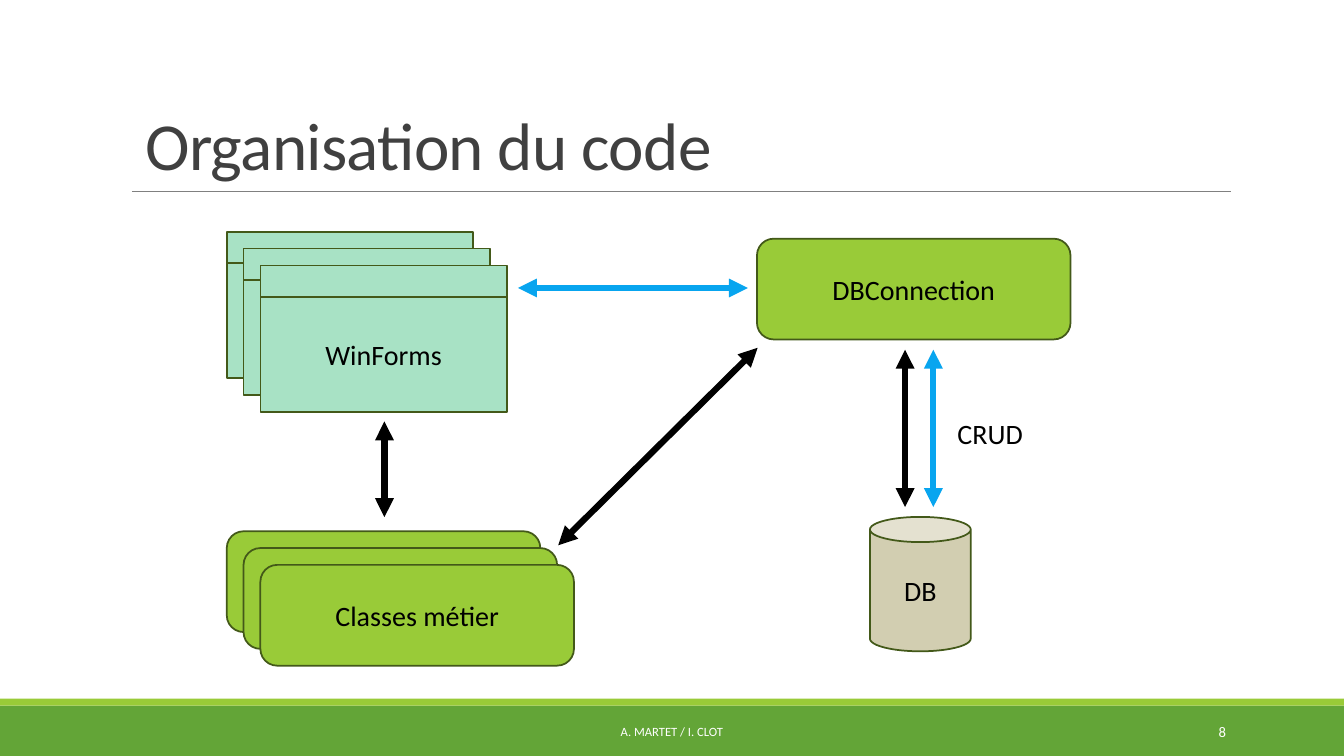
from lxml import etree
from pptx import Presentation, util as u
from pptx.dml.color import RGBColor
from pptx.enum import shapes, text
from pptx.oxml.ns import qn

Pt = u.Pt
KIND = shapes.MSO_SHAPE
ALIGN = text.PP_ALIGN
ANCHOR = text.MSO_ANCHOR

COLORS = {
    "footer": "63A537", "class": "99CB38", "form": "A8E2C5", "database": "D2CEB1",
    "outline": "435919", "rule": "808080", "title": "404040",
    "black": "000000", "blue": "08A5EF", "white": "FFFFFF",
}

# Content: lengths in points
TITLE = "Organisation du code"
FOOTER = "A. MARTET / I. CLOT"
PAGE_NUMBER = "8"
CRUD = "CRUD"
BANDS = [("footer", (0, 504, 960, 36)), ("class", (0, 499, 960, 5))]

STACK_LEFT, STACK_STEP = 162, 12
FORMS_TOP, FORM_WIDTH, FORM_BAR, FORM_BODY = 165.6, 176, 22.5, 82
CLASSES_TOP, CLASS_WIDTH, CLASS_HEIGHT = 379.5, 224, 72
FORM_LABELS = ["", "", "WinForms"]
CLASS_LABELS = ["", "", "Classes métier"]
CONNECTION = ("DBConnection", (540.7, 170.5, CLASS_WIDTH, CLASS_HEIGHT))
DATABASE = ("DB", (621.4, 369.2, 72, 96))

EXCHANGES = [  # color, start, end
    ("blue", (370, 205.7), (534.2, 205.7)),
    ("blue", (666.7, 362.2), (666.7, 249.8)),
    ("black", (646.5, 362.2), (646.5, 249.8)),
    ("black", (398.7, 389.5), (541.2, 248.4)),
    ("black", (274.6, 301), (274.6, 369.4)),
]

deck = Presentation()
deck.slide_width, deck.slide_height = Pt(960), Pt(540)
slide = deck.slides.add_slide(deck.slide_layouts[6])


def rgb(name):
    return RGBColor.from_string(COLORS[name])


def write(frame, words, size, color="black", align=ALIGN.CENTER, anchor=ANCHOR.MIDDLE):
    frame.word_wrap = True
    frame.vertical_anchor = anchor
    paragraph = frame.paragraphs[0]
    paragraph.text = words
    paragraph.alignment = align
    paragraph.font.name, paragraph.font.size = "Calibri", Pt(size)
    paragraph.font.color.rgb = rgb(color)
    return paragraph


def add_block(kind, box, fill, label="", outlined=True):
    block = slide.shapes.add_shape(kind, *map(Pt, box))
    block.shadow.inherit = False
    block.fill.solid()
    block.fill.fore_color.rgb = rgb(fill)
    if outlined:
        block.line.color.rgb = rgb("outline")
        block.line.width = Pt(1.25)
    else:
        block.line.fill.background()
    if label:
        write(block.text_frame, label, 20)


def add_line(color, start, end, width, arrows=False):
    line = slide.shapes.add_connector(shapes.MSO_CONNECTOR.STRAIGHT, *map(Pt, start + end))
    line.line.color.rgb = rgb(color)
    line.line.width = Pt(width)
    if arrows:
        for tip in ("a:headEnd", "a:tailEnd"):
            etree.SubElement(line.line._get_or_add_ln(), qn(tip), type="triangle")
    etree.SubElement(line._element.spPr, qn("a:effectLst"))


def add_text(box, *args, **kwargs):
    frame = slide.shapes.add_textbox(*map(Pt, box)).text_frame
    return frame, write(frame, *args, **kwargs)


# Footer bands and title
for fill, box in BANDS:
    add_block(KIND.RECTANGLE, box, fill, outlined=False)
add_line("rule", (94.3, 136.8), (879.1, 136.8), 0.5)
title_frame, title = add_text((86.4, 20.9, 792, 114.5), TITLE, 48, "title",
                              align=ALIGN.LEFT, anchor=ANCHOR.BOTTOM)
title_frame.margin_left = Pt(17.5)
title.line_spacing = 0.85
title.runs[0].font._element.set("spc", "-50")

# Stacked forms and business classes
for i, label in enumerate(FORM_LABELS):
    left, top = STACK_LEFT + i * STACK_STEP, FORMS_TOP + i * STACK_STEP
    add_block(KIND.RECTANGLE, (left, top + FORM_BAR, FORM_WIDTH, FORM_BODY), "form", label)
    add_block(KIND.RECTANGLE, (left, top, FORM_WIDTH, FORM_BAR), "form")
for i, label in enumerate(CLASS_LABELS):
    left, top = STACK_LEFT + i * STACK_STEP, CLASSES_TOP + i * STACK_STEP
    add_block(KIND.ROUNDED_RECTANGLE, (left, top, CLASS_WIDTH, CLASS_HEIGHT), "class", label)

# Connection and database
for kind, fill, (label, box) in [(KIND.ROUNDED_RECTANGLE, "class", CONNECTION),
                                 (KIND.CAN, "database", DATABASE)]:
    add_block(kind, box, fill, label)

# Exchanges between the parts
for color, start, end in EXCHANGES:
    add_line(color, start, end, 4.5, arrows=True)
crud_frame, _ = add_text((676.8, 293.8, 62, 31.5), CRUD, 20,
                         align=ALIGN.LEFT, anchor=ANCHOR.TOP)
crud_frame.word_wrap = False

# Footer text
add_text((290.2, 508.5, 379.4, 28.7), FOOTER, 9, "white")
add_text((779.8, 508.5, 103, 28.7), PAGE_NUMBER, 10.5, "white", align=ALIGN.RIGHT)

deck.save("out.pptx")
